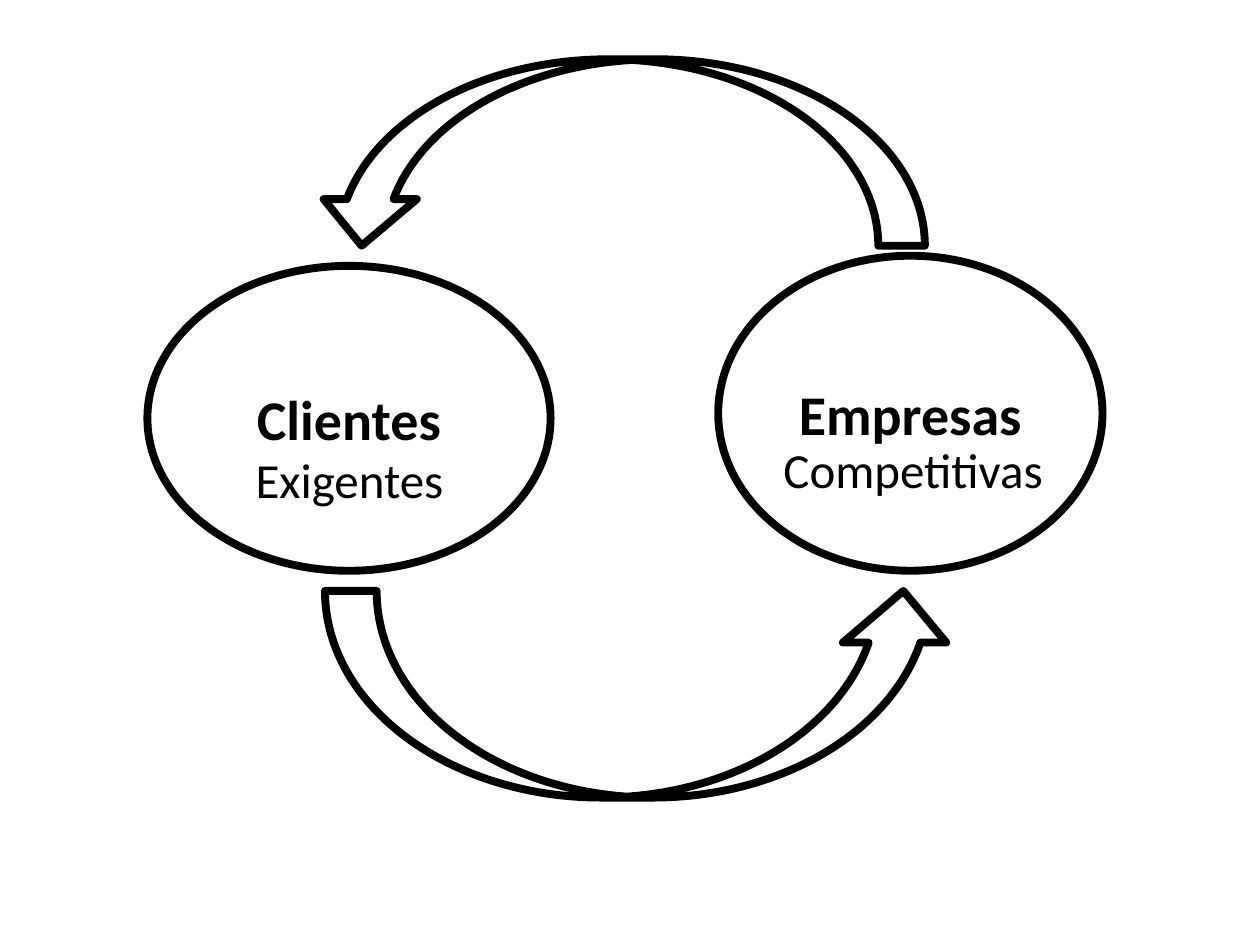
from pptx import Presentation
from pptx.dml.color import RGBColor
from pptx.enum.shapes import MSO_SHAPE
from pptx.enum.text import MSO_ANCHOR, MSO_AUTO_SIZE, PP_ALIGN
from pptx.util import Inches, Pt

COLORS = {"ink": "000000"}
FONT = "Calibri"


def color(name):
    return RGBColor.from_string(COLORS[name])


def write(tf, text, size=28, bold=False, align=PP_ALIGN.LEFT):
    p = tf.paragraphs[0]
    p.alignment = align
    r = p.add_run()
    r.text = text
    r.font.name = FONT
    r.font.size = Pt(size)
    r.font.bold = bold
    r.font.color.rgb = color("ink")


def add_outline(s, kind, box, rotation=0):
    sp = s.shapes.add_shape(kind, *map(Inches, box))
    sp.shadow.inherit = False
    sp.fill.background()
    sp.line.color.rgb = color("ink")
    sp.line.width = Pt(4.5)
    sp.rotation = rotation
    return sp


def add_actor(s, name, box):
    sp = add_outline(s, MSO_SHAPE.OVAL, box)
    sp.text_frame.vertical_anchor = MSO_ANCHOR.MIDDLE
    write(sp.text_frame, name, size=32, bold=True, align=PP_ALIGN.CENTER)


def add_quality(s, text, box):
    tf = s.shapes.add_textbox(*map(Inches, box)).text_frame
    tf.word_wrap = False
    tf.auto_size = MSO_AUTO_SIZE.SHAPE_TO_FIT_TEXT
    write(tf, text)


def main():
    prs = Presentation()
    prs.slide_width, prs.slide_height = Inches(10), Inches(7.5)
    s = prs.slides.add_slide(prs.slide_layouts[6])

    # Customers and companies
    add_actor(s, "Clientes", (1.17, 2.11, 3.2, 2.42))
    add_actor(s, "Empresas", (5.7, 2.03, 3.05, 2.5))

    # Cycle arrows: below to the right, above back to the left
    add_outline(s, MSO_SHAPE.CURVED_UP_ARROW, (2.58, 4.69, 5, 1.64))
    add_outline(s, MSO_SHAPE.CURVED_UP_ARROW, (2.5, 0.47, 4.84, 1.48), rotation=180)

    # Qualities under the names
    add_quality(s, "Exigentes", (1.93, 3.52, 1.7, 0.57))
    add_quality(s, "Competitivas", (6.12, 3.44, 2.26, 0.57))

    prs.save("out.pptx")


if __name__ == "__main__":
    main()
